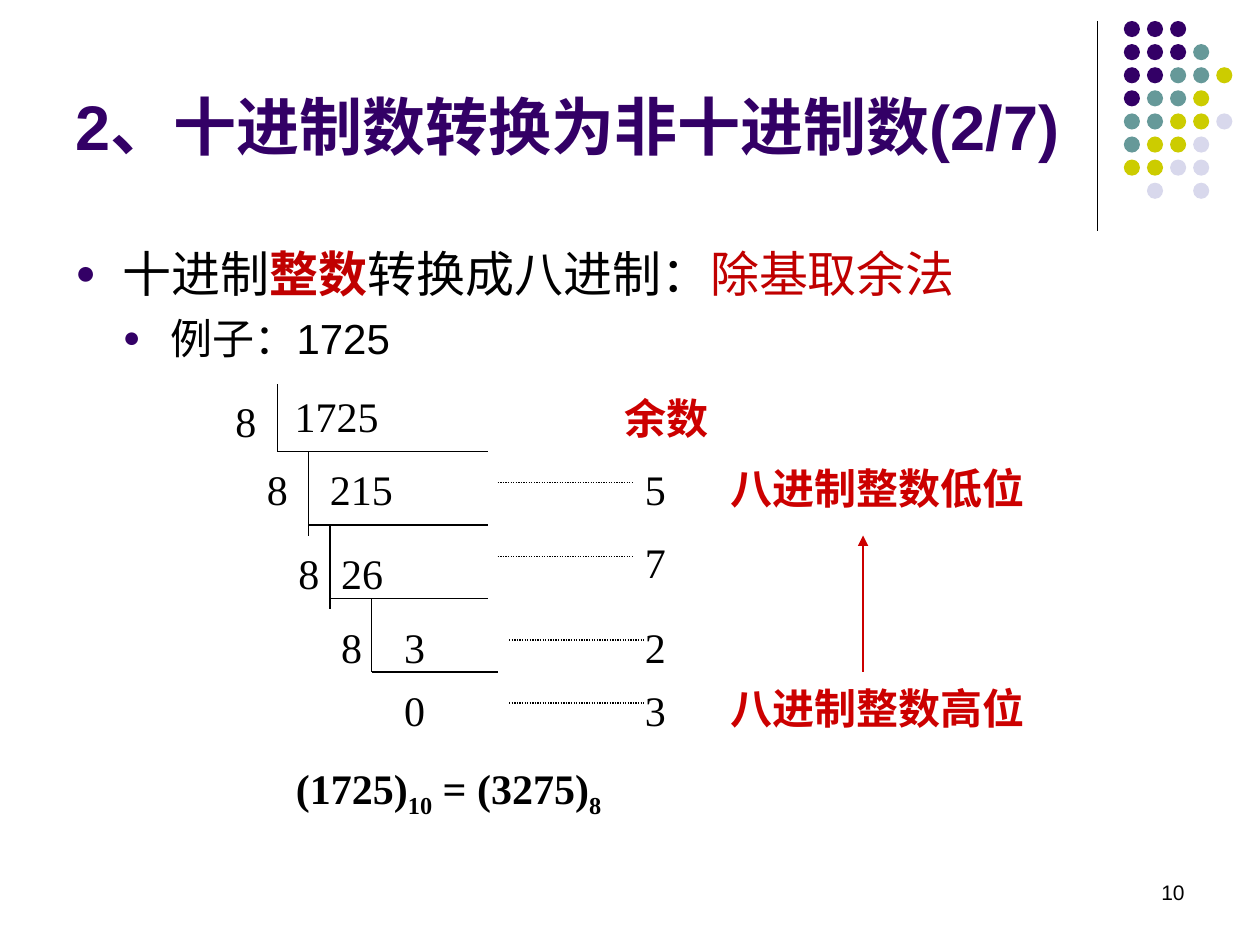
from pptx import Presentation
from pptx.dml.color import RGBColor
from pptx.enum.dml import MSO_LINE
from pptx.enum.shapes import MSO_CONNECTOR, MSO_SHAPE
from pptx.enum.text import MSO_ANCHOR, MSO_AUTO_SIZE, PP_ALIGN
from pptx.oxml.ns import qn
from pptx.util import Pt
from lxml.etree import SubElement

PURPLE = RGBColor(0x33, 0x00, 0x66)
TEAL = RGBColor(0x66, 0x99, 0x99)
OLIVE = RGBColor(0xCC, 0xCC, 0x00)
LAVENDER = RGBColor(0xD8, 0xD8, 0xEC)
BLACK = RGBColor(0x00, 0x00, 0x00)
DARK_RED = RGBColor(0xC0, 0x00, 0x00)
RED = RGBColor(0xCC, 0x00, 0x00)

SANS = "Arial"
SERIF = "Times New Roman"
CHINESE = "Noto Sans CJK SC"

DOT_COLORS = {"P": PURPLE, "T": TEAL, "O": OLIVE, "L": LAVENDER}
DOT_ROWS = ["PPP", "PPPT", "PPTTO", "PTTO", "TTOOL", "TOOL", "OOLL", " L L"]
DOT_PITCH = 13.2
STEP_HEIGHT = 42
DIGIT_WIDTH = 12
CHINESE_WIDTH = 24
SIDE_MARGINS = 14.4

BRACKETS = [
    (158.4, 219.6, 258, 278.6),
    (176.4, 258, 306, 278.6),
    (188.6, 300, 348, 278.6),
    (212.4, 342, 384, 284.4),
]
DIVISORS = [(127.4, 222.5), (145.4, 261.4), (163.4, 309.6), (187.9, 351.4)]
DIVIDENDS = [
    ("1725", 161.3, 219.6),
    ("215", 181.4, 261.4),
    ("26", 187.9, 309.6),
    ("3", 223.9, 351.4),
    ("0", 223.9, 387.4),
]
REMAINDERS = [
    ("5", 261.4, 284.4, 275.8),
    ("7", 303.1, 284.4, 318.2),
    ("2", 351.4, 290.9, 365.8),
    ("3", 387.4, 290.9, 401.8),
]
LABELS = [
    ("余数", 349.9, 221),
    ("八进制整数低位", 410.4, 260.6),
    ("八进制整数高位", 410.4, 386.6),
]


def format_run(run, size, font, color=BLACK, bold=False):
    """Apply the Latin and East Asian fonts, size, colour and weight."""
    run.font.size = Pt(size)
    run.font.name = font
    run.font.bold = bold
    run.font.color.rgb = color
    SubElement(run.font._element, qn("a:ea")).set("typeface", CHINESE)


def add_run(paragraph, text, size, font, color=BLACK, bold=False):
    """Append a formatted run and return it."""
    run = paragraph.add_run()
    run.text = text
    format_run(run, size, font, color, bold)
    return run


def add_box(slide, left, top, width, height):
    """Add an empty wrapping text box and return its text frame."""
    shape = slide.shapes.add_textbox(Pt(left), Pt(top), Pt(width), Pt(height))
    shape.text_frame.word_wrap = True
    return shape.text_frame


def add_label(slide, text, left, top, color=BLACK, bold=False):
    """Add a single-line serif label as wide as its text."""
    character_width = DIGIT_WIDTH if text.isascii() else CHINESE_WIDTH
    width = len(text) * character_width + SIDE_MARGINS
    text_frame = add_box(slide, left, top, width, 36)
    text_frame.word_wrap = False
    text_frame.auto_size = MSO_AUTO_SIZE.SHAPE_TO_FIT_TEXT
    add_run(text_frame.paragraphs[0], text, 24, SERIF, color, bold)


def add_line(slide, x1, y1, x2, y2, color=BLACK):
    """Add a thin straight line without shadow."""
    connector = slide.shapes.add_connector(
        MSO_CONNECTOR.STRAIGHT, Pt(x1), Pt(y1), Pt(x2), Pt(y2))
    connector.line.color.rgb = color
    connector.line.width = Pt(0.75)
    SubElement(connector._element.spPr, qn("a:effectLst"))
    return connector


def add_dot_pattern(slide):
    """Add the corner dots and the rule beside them."""
    add_line(slide, 627, 12, 627, 132)
    for row, codes in enumerate(DOT_ROWS):
        for column, code in enumerate(codes):
            if code in DOT_COLORS:
                dot = slide.shapes.add_shape(
                    MSO_SHAPE.OVAL, Pt(642.2 + column * DOT_PITCH),
                    Pt(12 + row * DOT_PITCH), Pt(9.2), Pt(9.2))
                dot.shadow.inherit = False
                dot.fill.solid()
                dot.fill.fore_color.rgb = DOT_COLORS[code]
                dot.line.fill.background()


def set_title(slide, text):
    """Place and format the title placeholder."""
    title = slide.shapes.title
    title.left, title.top, title.width, title.height = Pt(36), Pt(20.6), Pt(589), Pt(102)
    text_frame = title.text_frame
    text_frame.text = text
    text_frame.auto_size = MSO_AUTO_SIZE.NONE
    text_frame.vertical_anchor = MSO_ANCHOR.MIDDLE
    paragraph = text_frame.paragraphs[0]
    paragraph.alignment = PP_ALIGN.LEFT
    format_run(paragraph.runs[0], 36, SANS, PURPLE, True)


def set_bullet(paragraph, level):
    """Give a paragraph a purple round bullet and a hanging indent."""
    paragraph.level = level
    properties = paragraph._p.get_or_add_pPr()
    properties.set("marL", str(Pt(27.2 * (level + 1))))
    properties.set("indent", str(-Pt(27.2)))
    color = SubElement(properties, qn("a:buClr"))
    SubElement(color, qn("a:srgbClr")).set("val", str(PURPLE))
    SubElement(properties, qn("a:buSzPct")).set("val", "70000")
    SubElement(properties, qn("a:buFont")).set("typeface", SANS)
    SubElement(properties, qn("a:buChar")).set("char", "●")


def add_body(slide):
    """Add the two bulleted lines."""
    text_frame = add_box(slide, 36, 135.4, 648, 347)
    method = text_frame.paragraphs[0]
    set_bullet(method, 0)
    add_run(method, "十进制", 28, SANS)
    add_run(method, "整数", 28, SANS, DARK_RED, True)
    add_run(method, "转换成八进制：", 28, SANS)
    add_run(method, "除基取余法", 28, CHINESE, DARK_RED)
    example = text_frame.add_paragraph()
    set_bullet(example, 1)
    example.space_before = Pt(6)
    add_run(example, "例子：1725", 24, SANS)


def add_division(slide):
    """Add the repeated short division with its remainders."""
    for step, (left, top, bottom, right) in enumerate(BRACKETS):
        base = 258 + step * STEP_HEIGHT
        add_line(slide, left, top, left, bottom)
        add_line(slide, left, base, right, base)
    for left, top in DIVISORS:
        add_label(slide, "8", left, top)
    for text, left, top in DIVIDENDS:
        add_label(slide, text, left, top)
    for text, top, leader_left, leader_y in REMAINDERS:
        add_label(slide, text, 361.4, top)
        leader = add_line(slide, leader_left, leader_y, leader_left + 78, leader_y)
        leader.line.dash_style = MSO_LINE.ROUND_DOT


def add_reading_order(slide):
    """Add the red labels and the arrow from high to low digit."""
    for text, left, top in LABELS:
        add_label(slide, text, left, top, RED, True)
    arrow = add_line(slide, 493.2, 384, 493.2, 306, RED)
    SubElement(arrow.line._get_or_add_ln(), qn("a:tailEnd")).set("type", "triangle")


def add_result(slide):
    """Add the resulting equation with subscript bases."""
    paragraph = add_box(slide, 162, 432, 300, 40).paragraphs[0]
    for text, base in (("(1725)", "10"), (" = (3275)", "8")):
        add_run(paragraph, text, 24, SERIF, bold=True)
        subscript = add_run(paragraph, base, 24, SERIF, bold=True)
        subscript.font._element.set("baseline", "-25000")


def add_page_number(slide):
    """Add the page number at the lower right."""
    text_frame = add_box(slide, 516, 492, 168, 36)
    text_frame.vertical_anchor = MSO_ANCHOR.MIDDLE
    text_frame.paragraphs[0].alignment = PP_ALIGN.RIGHT
    add_run(text_frame.paragraphs[0], "10", 12, SANS)


def main():
    """Build and save the presentation."""
    presentation = Presentation()
    presentation.slide_width, presentation.slide_height = Pt(720), Pt(540)
    slide = presentation.slides.add_slide(presentation.slide_layouts[5])
    add_dot_pattern(slide)
    set_title(slide, "2、十进制数转换为非十进制数(2/7)")
    add_body(slide)
    add_page_number(slide)
    add_reading_order(slide)
    add_result(slide)
    add_division(slide)
    presentation.save("out.pptx")


if __name__ == "__main__":
    main()
